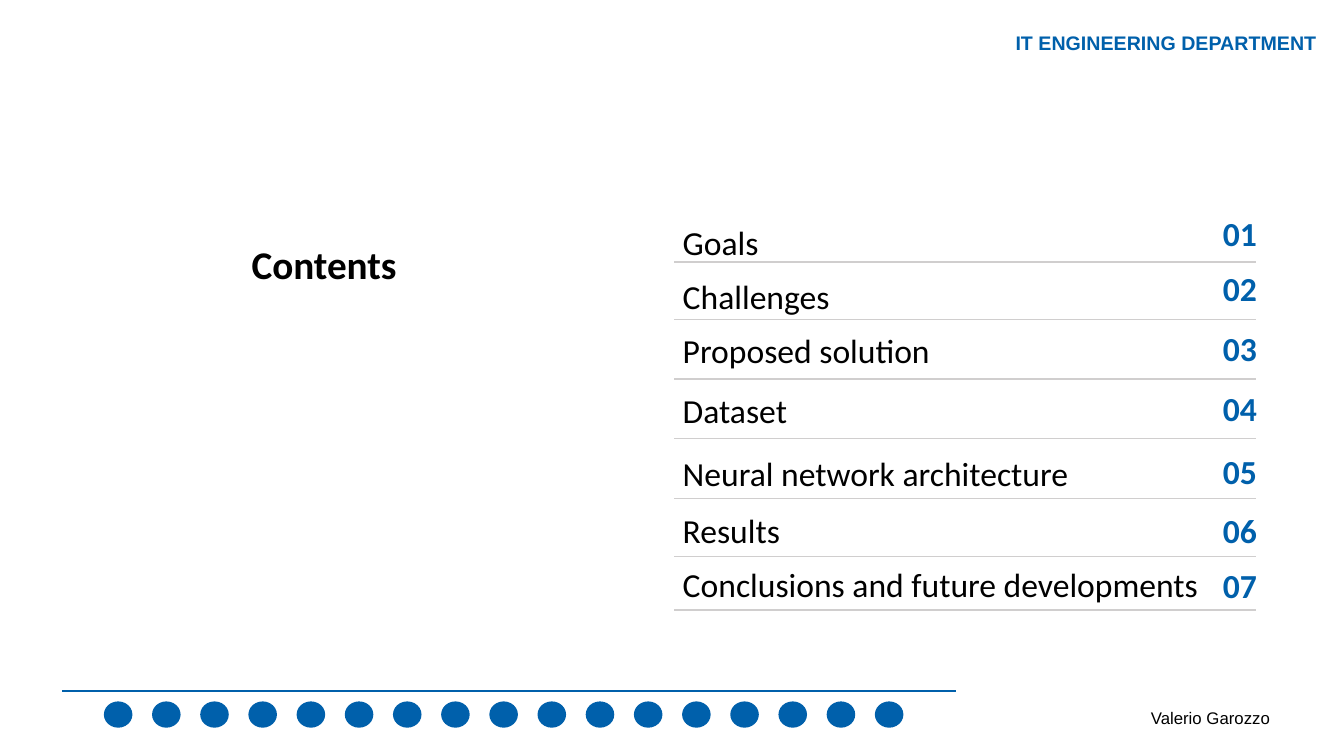
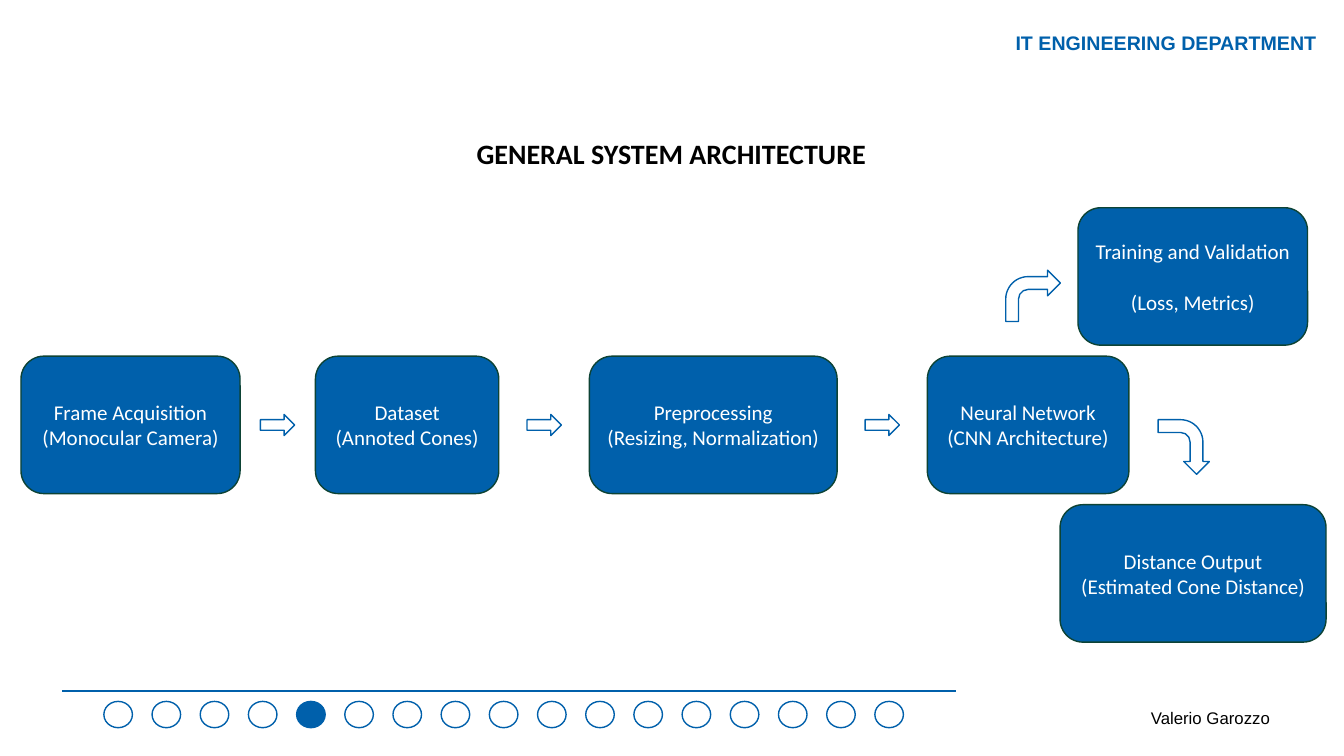
from pptx import Presentation
from pptx.dml.color import RGBColor
from pptx.enum.shapes import MSO_CONNECTOR, MSO_SHAPE as SHAPE
from pptx.enum.text import MSO_ANCHOR as ANCHOR, PP_ALIGN as ALIGN
from pptx.util import Pt
from lxml.etree import SubElement
from pptx.oxml.ns import qn

COLORS = {"blue": "0060AB", "black": "000000", "white": "FFFFFF",
          "rule": "D0CECE", "edge": "0D4335"}

STYLES = {
    "department": {"name": "Arial", "size": Pt(14), "bold": True, "color": "blue"},
    "author": {"name": "Arial", "size": Pt(12), "color": "black"},
    "contents": {"name": "Calibri", "size": Pt(28), "bold": True, "color": "black"},
    "heading": {"name": "Calibri", "size": Pt(20), "bold": True, "color": "black"},
    "entry": {"name": "Calibri", "size": Pt(24), "color": "black"},
    "number": {"name": "Calibri", "size": Pt(24), "bold": True, "color": "blue"},
    "step": {"name": "Calibri", "size": Pt(15), "color": "white"},
}

DOT_COUNT = 17
DOT_PITCH = 34.42
DOT_SIZE = (20.4, 18.8)

# Label, then tops of label and number and height of the rule, from the list's top.
ENTRIES = [
    ("Goals", 6, 0, 35.2),
    ("Challenges", 45, 39, 76.4),
    ("Proposed solution", 83.5, 82, 118.6),
    ("Dataset", 126, 124.5, 161.4),
    ("Neural network architecture", 171.5, 170, 204.2),
    ("Results", 212, 212, 245.4),
    ("Conclusions and future developments", 250.5, 251.5, 283.6),
]

STEP_HEIGHT = 98.2
STEP_ROW = 106
# Left, top and width of each step within the flow, its two lines, the gap between them.
STEPS = [
    (0, STEP_ROW, 156.5, ("Frame Acquisition", "(Monocular Camera)"), 0),
    (210.3, STEP_ROW, 131, ("Dataset", "(Annoted Cones)"), 0),
    (406, STEP_ROW, 177, ("Preprocessing", "(Resizing, Normalization)"), 0),
    (647.4, STEP_ROW, 144, ("Neural Network", "(CNN Architecture)"), 0),
    (755, 0, 164, ("Training and Validation", "(Loss, Metrics)"), 18),
    (742.2, 212.1, 190, ("Distance Output", "(Estimated Cone Distance)"), 0),
]

# Preset, left, top, width, height and rotation within the flow.
ARROWS = [(SHAPE.RIGHT_ARROW, x, 147.6, 24.5, 15.1, 0) for x in (171, 361.5, 603)] + [
    (SHAPE.BENT_ARROW, 703.4, 44.6, 39, 36.6, 0),
    (SHAPE.BENT_ARROW, 811, 152.6, 39, 36.6, 90),
]


def rgb(name):
    return RGBColor.from_string(COLORS[name])


def write(tf, lines, style, align=ALIGN.LEFT, spacing=1.0, gap=0):
    """Write one paragraph a line; gap is the space before each but the first."""
    for i, line in enumerate(lines):
        p = tf.add_paragraph() if i else tf.paragraphs[0]
        p.alignment, p.line_spacing = align, spacing
        if i and gap:
            p.space_before = Pt(gap)
        r = p.add_run()
        r.text = line
        for key, value in STYLES[style].items():
            if key == "color":
                r.font.color.rgb = rgb(value)
            else:
                setattr(r.font, key, value)


def add_text(slide, box, text, style, wrap=True, **layout):
    tf = slide.shapes.add_textbox(*map(Pt, box)).text_frame
    tf.word_wrap = wrap
    write(tf, [text], style, **layout)


def add_shape(slide, preset, box, fill=None, line=None):
    s = slide.shapes.add_shape(preset, *map(Pt, box))
    s.shadow.inherit = False
    if fill:
        s.fill.solid()
        s.fill.fore_color.rgb = rgb(fill)
    else:
        s.fill.background()
    if line:
        s.line.color.rgb = rgb(line)
        s.line.width = Pt(1)
    else:
        s.line.fill.background()
    return s


def add_rule(slide, x, y, width, color, weight):
    c = slide.shapes.add_connector(MSO_CONNECTOR.STRAIGHT, *map(Pt, (x, y, x + width, y)))
    c.line.color.rgb = rgb(color)
    c.line.width = Pt(weight)
    SubElement(c._element.spPr, qn("a:effectLst"))


def add_header(slide, box):
    s = add_shape(slide, SHAPE.RECTANGLE, box, "white")
    tf = s.text_frame
    tf.word_wrap, tf.vertical_anchor = True, ANCHOR.TOP
    write(tf, ["IT ENGINEERING DEPARTMENT"], "department")


def add_progress(slide, x, y, width, current):
    """Draw the footer rule and its dots; with no current dot, all are solid."""
    add_rule(slide, x, y, width, "blue", 1.5)
    for i in range(DOT_COUNT):
        solid = current is None or i == current
        add_shape(slide, SHAPE.OVAL, (x + 29.6 + i * DOT_PITCH, y + 7.2, *DOT_SIZE),
                  "blue" if solid else None, None if current is None else "blue")


def add_base_slide(prs, current=None):
    slide = prs.slides.add_slide(prs.slide_layouts[6])
    add_header(slide, (718.3, 18.6, 241.7, 24.2))
    add_text(slide, (815, 502, 100, 21.8), "Valerio Garozzo", "author", wrap=False)
    add_progress(slide, 44.6, 493.8, 638, current)
    return slide


def add_contents_list(slide, x, y, width):
    for i, (label, label_top, number_top, rule_top) in enumerate(ENTRIES, 1):
        add_text(slide, (x - 1, y + label_top, 390, 41), label, "entry", spacing=0.9)
        add_text(slide, (x + width - 32, y + number_top, 41, 41), f"{i:02}", "number",
                 align=ALIGN.CENTER, spacing=0.9)
        add_rule(slide, x, y + rule_top, width, "rule", 1)


def add_flow(slide, x, y):
    for left, top, width, lines, gap in STEPS:
        s = add_shape(slide, SHAPE.ROUNDED_RECTANGLE,
                      (x + left, y + top, width, STEP_HEIGHT), "blue", "edge")
        tf = s.text_frame
        tf.word_wrap, tf.vertical_anchor = True, ANCHOR.MIDDLE
        tf.margin_left = tf.margin_right = Pt(2)
        write(tf, lines, "step", ALIGN.CENTER, gap=gap)
    for preset, left, top, width, height, rotation in ARROWS:
        s = add_shape(slide, preset, (x + left, y + top, width, height), "white", "blue")
        s.rotation = rotation


def contents_slide(prs):
    slide = add_base_slide(prs)
    add_text(slide, (136, 172, 191, 74), "Contents", "contents",
             align=ALIGN.CENTER, spacing=0.9)
    add_contents_list(slide, 481.6, 152, 415.6)


def architecture_slide(prs):
    slide = add_base_slide(prs, current=4)
    add_text(slide, (320, 97, 319, 38), "GENERAL SYSTEM ARCHITECTURE", "heading",
             align=ALIGN.CENTER, spacing=0.9)
    add_flow(slide, 15, 148.4)


def main():
    prs = Presentation()
    prs.slide_width, prs.slide_height = Pt(960), Pt(540)
    contents_slide(prs)
    architecture_slide(prs)
    prs.save("out.pptx")


if __name__ == "__main__":
    main()
